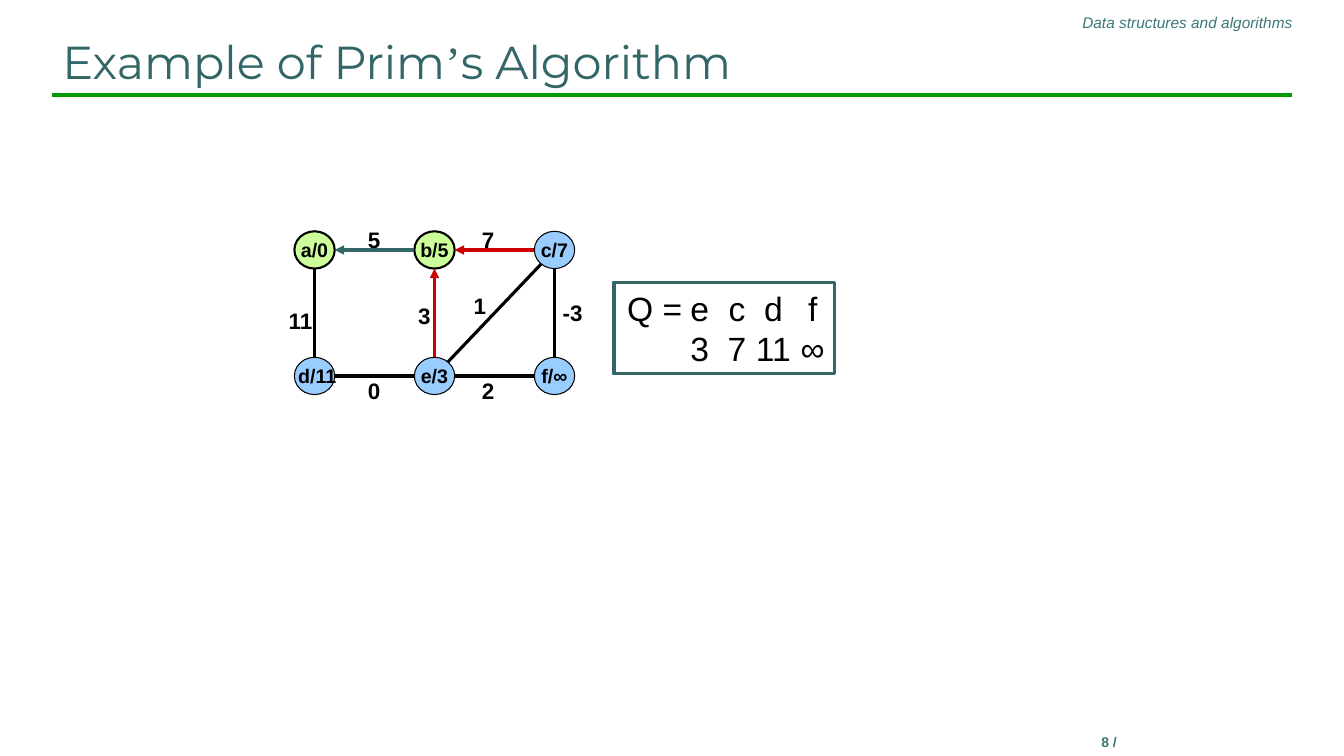
import math

import pptx
import pptx.dml.color
import pptx.enum.shapes
import pptx.enum.text
import pptx.oxml.ns
import pptx.util
from lxml import etree

Inches = pptx.util.Inches
Pt = pptx.util.Pt
SHAPE = pptx.enum.shapes.MSO_SHAPE
ALIGN = pptx.enum.text.PP_ALIGN
ANCHOR = pptx.enum.text.MSO_ANCHOR
qn = pptx.oxml.ns.qn

TEAL, RED, BLACK = "336666", "CC0000", "000000"
GREEN, BLUE = "CCFF99", "99CCFF"
RX, RY = 0.2, 0.185  # node radii


def rgb(value):
    return pptx.dml.color.RGBColor.from_string(value)


def add_text(p, text, size=16, font="Arial", color=BLACK, bold=False,
             italic=False, align=ALIGN.CENTER):
    p.alignment = align
    r = p.add_run()
    r.text = text
    r.font.size = Pt(size)
    r.font.name = font
    r.font.bold = bold
    r.font.italic = italic
    r.font.color.rgb = rgb(color)


class Slide:
    def __init__(self, prs):
        self.s = prs.slides.add_slide(prs.slide_layouts[6])

    def text_box(self, x, y, w, h, runs, wrap=True, anchor=ANCHOR.TOP, **fmt):
        sp = self.s.shapes.add_textbox(*map(Inches, (x, y, w, h)))
        tf = sp.text_frame
        tf.word_wrap = wrap
        tf.vertical_anchor = anchor
        for text, font in runs:
            add_text(tf.paragraphs[0], text, font=font, **fmt)

    def line(self, x1, y1, x2, y2, color=BLACK, width=2.25, arrow=False):
        cn = self.s.shapes.add_connector(
            pptx.enum.shapes.MSO_CONNECTOR.STRAIGHT,
            *map(Inches, (x1, y1, x2, y2)))
        cn.line.color.rgb = rgb(color)
        cn.line.width = Pt(width)
        if arrow:
            etree.SubElement(cn.line._get_or_add_ln(), qn("a:headEnd"),
                             type="triangle")
        etree.SubElement(cn._element.spPr, qn("a:effectLst"))

    def edge(self, start, end, **style):
        """Line between two node centres, trimmed to the node outlines."""
        dx, dy = end[0] - start[0], end[1] - start[1]
        t = 1 / math.hypot(dx / RX, dy / RY)
        self.line(start[0] + t * dx, start[1] + t * dy,
                  end[0] - t * dx, end[1] - t * dy, **style)

    def shape(self, kind, x, y, w, h, fill, line, width):
        sp = self.s.shapes.add_shape(kind, *map(Inches, (x, y, w, h)))
        sp.shadow.inherit = False
        if fill:
            sp.fill.solid()
            sp.fill.fore_color.rgb = rgb(fill)
        else:
            sp.fill.background()
        sp.line.color.rgb = rgb(line)
        sp.line.width = Pt(width)
        sp.text_frame.vertical_anchor = ANCHOR.MIDDLE
        return sp

    def node(self, center, text, visited):
        sp = self.shape(SHAPE.OVAL, center[0] - RX, center[1] - RY, 2 * RX,
                        2 * RY, GREEN if visited else BLUE, BLACK,
                        1.5 if visited else 0.75)
        tf = sp.text_frame
        tf.word_wrap = False
        add_text(tf.paragraphs[0], text, size=14, bold=True)

    def queue(self, x, y, w, h, rows, stops):
        sp = self.shape(SHAPE.RECTANGLE, x, y, w, h, None, TEAL, 2.25)
        tf = sp.text_frame
        tf.word_wrap = True
        tf.margin_left, tf.margin_right = Inches(0.13), Inches(0.02)
        for i, row in enumerate(rows):
            p = tf.add_paragraph() if i else tf.paragraphs[0]
            add_text(p, "\t".join(row), size=24, align=ALIGN.LEFT)
            tabs = etree.SubElement(p._p.get_or_add_pPr(), qn("a:tabLst"))
            for stop in stops:
                etree.SubElement(tabs, qn("a:tab"), pos=str(Inches(stop)),
                                 algn="ctr")


def main():
    prs = pptx.Presentation()
    prs.slide_width, prs.slide_height = Inches(13.33), Inches(7.5)
    slide = Slide(prs)

    # Header, title and page number
    slide.line(0.52, 0.94, 12.81, 0.94, color="009900", width=3)
    slide.text_box(5.63, 0.08, 7.29, 0.29,
                   [("Data structures and algorithms", "Arial")],
                   size=11, color="3A7877", italic=True, align=ALIGN.RIGHT)
    slide.text_box(9.5, 7.23, 3, 0.27, [("8 /", "Arial")],
                   size=10, color="3A7877", bold=True)
    slide.text_box(0.52, 0.23, 12.29, 0.7,
                   [("Example of Prim", "Montserrat"),
                    ("’", "Times New Roman"),
                    ("s Algorithm", "Montserrat")],
                   anchor=ANCHOR.BOTTOM, size=33, color=TEAL,
                   align=ALIGN.LEFT)

    # Graph nodes on a 3 by 2 grid
    names = ["a/0", "b/5", "c/7", " d/11", "e/3", "f/∞"]
    centers = {}
    for i, name in enumerate(names):
        row, col = divmod(i, 3)
        key = name.strip()[0]
        centers[key] = (3.12 + 1.19 * col, 2.48 + 1.25 * row)
        slide.node(centers[key], name, visited=key in "ab")

    # Edges; an arrow points at the first node
    for ends, color in [("ad", BLACK), ("bc", RED), ("cf", BLACK),
                        ("be", RED), ("ef", BLACK), ("de", BLACK),
                        ("ec", BLACK), ("ab", TEAL)]:
        slide.edge(centers[ends[0]], centers[ends[1]], color=color,
                   arrow=color != BLACK)

    # Edge weights, centred on x
    for text, x, y in [("5", 3.71, 2.19), ("7", 4.84, 2.19),
                       ("11", 2.98, 3), ("3", 4.21, 2.95),
                       ("1", 4.76, 2.85), ("-3", 5.68, 2.92),
                       ("0", 3.71, 3.69), ("2", 4.84, 3.69)]:
        slide.text_box(x - 0.3, y, 0.6, 0.37, [(text, "Arial")],
                       wrap=False, bold=True)

    # Priority queue
    slide.queue(6.09, 2.8, 2.19, 0.91,
                [["Q =", "e", "c", "d", "f"], ["", "3", "7", "11", "∞"]],
                stops=[0.72, 1.09, 1.45, 1.84])

    prs.save("out.pptx")


if __name__ == "__main__":
    main()
